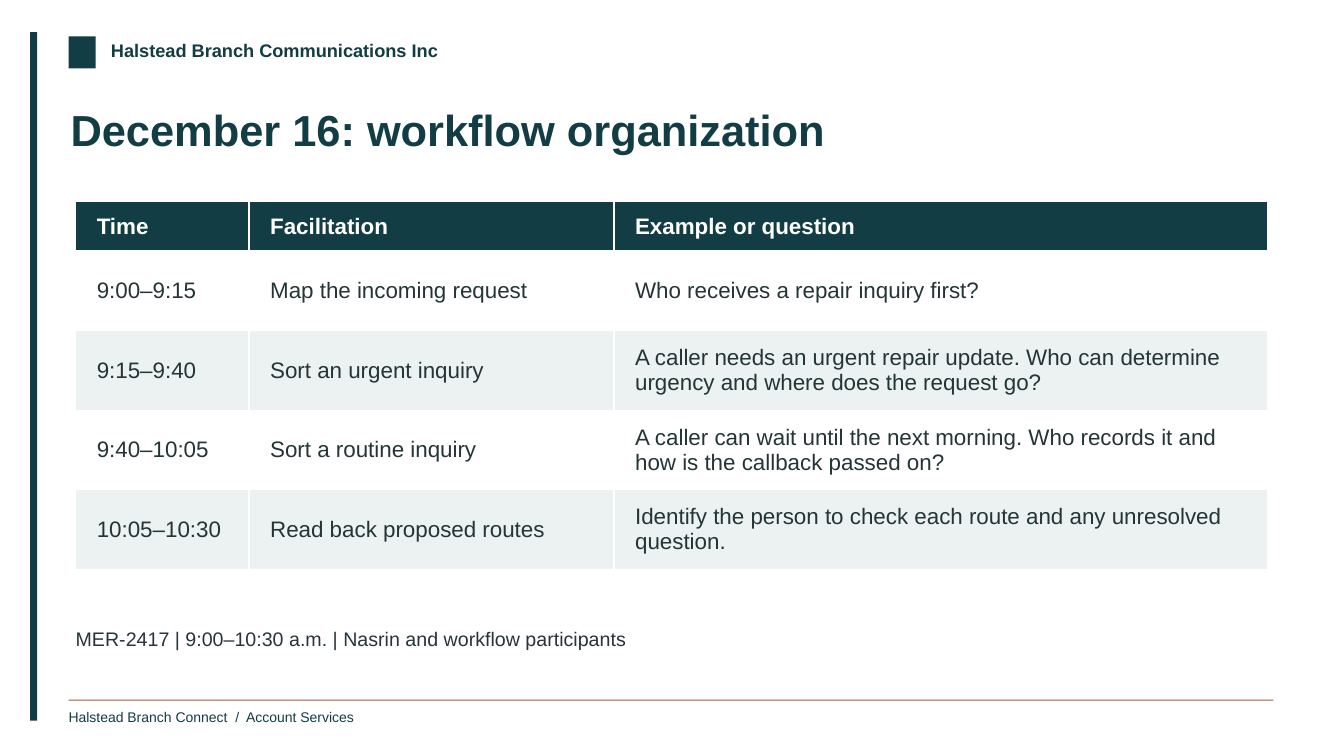
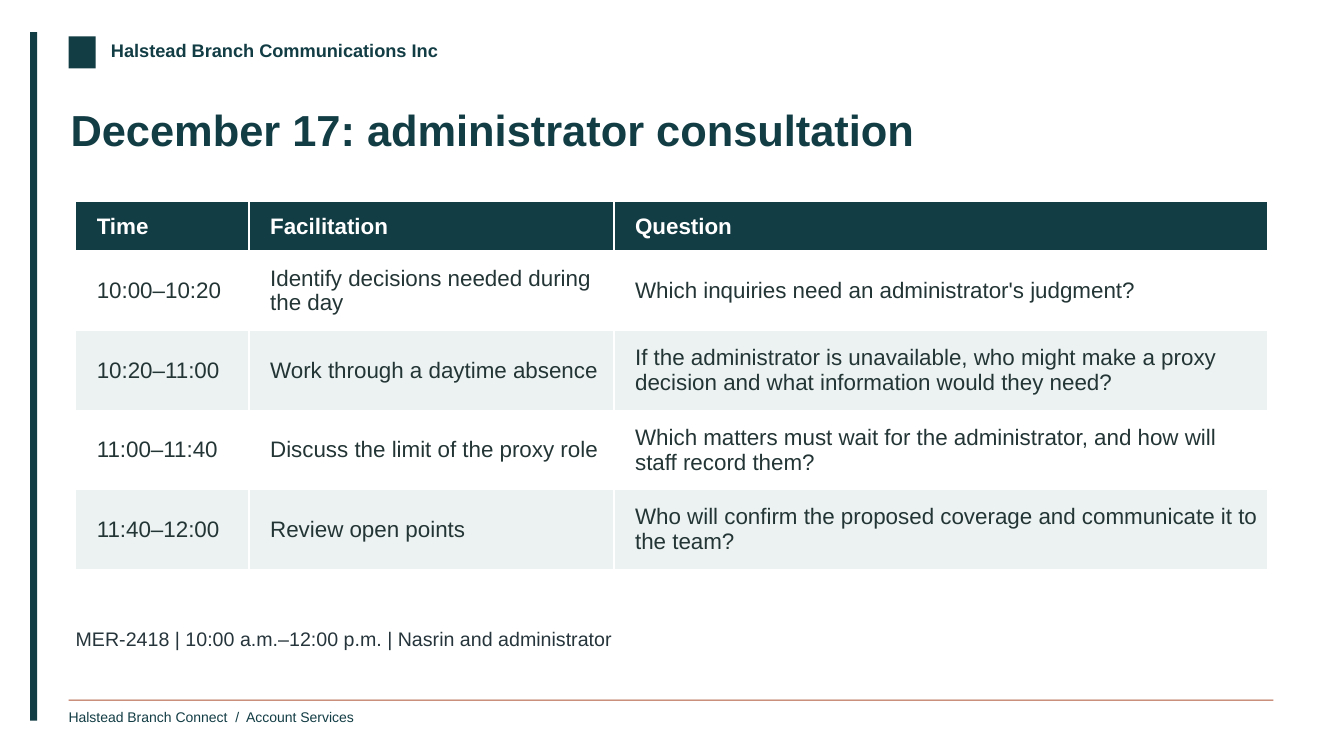
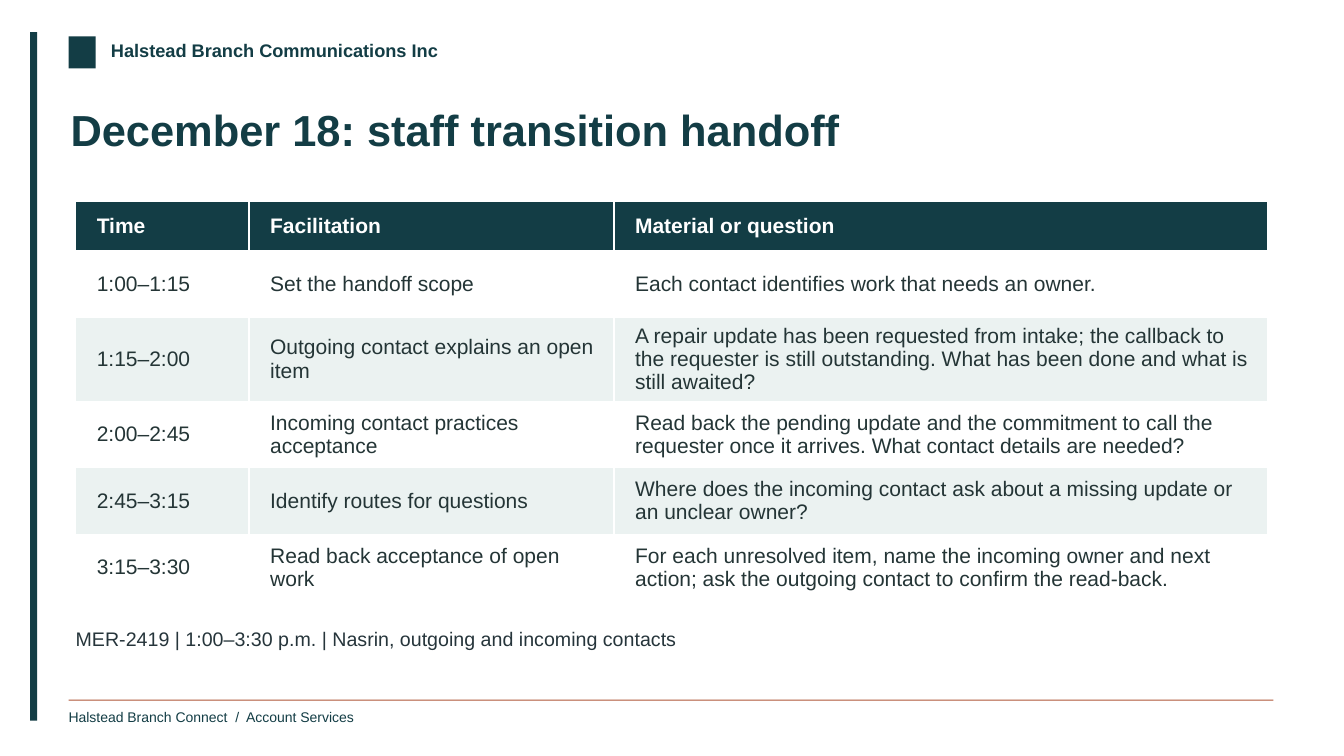
from pptx import Presentation
from pptx.dml.color import RGBColor as RGB
from pptx.enum.shapes import MSO_SHAPE as SHAPE
from pptx.enum.text import MSO_ANCHOR as ANCHOR
from pptx.util import Inches, Pt

FONT = "Arial"
INK = {
    "teal": "133D45",
    "rust": "AF5636",
    "text": "243536",
    "note": "26353B",
    "band": "EBF2F1",
    "white": "FFFFFF",
}
COLS = [1.72, 3.62, 6.48]
HEAD = 0.49

DAYS = [
    {
        "title": "December 16: workflow organization",
        "note": "MER-2417 | 9:00–10:30 a.m. | Nasrin and workflow participants",
        "size": 16,
        "high": 0.79,
        "rows": [
            ("Time", "Facilitation", "Example or question"),
            ("9:00–9:15", "Map the incoming request",
             "Who receives a repair inquiry first?"),
            ("9:15–9:40", "Sort an urgent inquiry",
             "A caller needs an urgent repair update. Who can determine "
             "urgency and where does the request go?"),
            ("9:40–10:05", "Sort a routine inquiry",
             "A caller can wait until the next morning. Who records it and "
             "how is the callback passed on?"),
            ("10:05–10:30", "Read back proposed routes",
             "Identify the person to check each route and any unresolved "
             "question."),
        ],
    },
    {
        "title": "December 17: administrator consultation",
        "note": "MER-2418 | 10:00 a.m.–12:00 p.m. | Nasrin and administrator",
        "size": 16,
        "high": 0.79,
        "rows": [
            ("Time", "Facilitation", "Question"),
            ("10:00–10:20", "Identify decisions needed during the day",
             "Which inquiries need an administrator's judgment?"),
            ("10:20–11:00", "Work through a daytime absence",
             "If the administrator is unavailable, who might make a proxy "
             "decision and what information would they need?"),
            ("11:00–11:40", "Discuss the limit of the proxy role",
             "Which matters must wait for the administrator, and how will "
             "staff record them?"),
            ("11:40–12:00", "Review open points",
             "Who will confirm the proposed coverage and communicate it to "
             "the team?"),
        ],
    },
    {
        "title": "December 18: staff transition handoff",
        "note": "MER-2419 | 1:00–3:30 p.m. | Nasrin, outgoing and incoming contacts",
        "size": 15,
        "high": 0.66,
        "rows": [
            ("Time", "Facilitation", "Material or question"),
            ("1:00–1:15", "Set the handoff scope",
             "Each contact identifies work that needs an owner."),
            ("1:15–2:00", "Outgoing contact explains an open item",
             "A repair update has been requested from intake; the callback to "
             "the requester is still outstanding. What has been done and what "
             "is still awaited?"),
            ("2:00–2:45", "Incoming contact practices acceptance",
             "Read back the pending update and the commitment to call the "
             "requester once it arrives. What contact details are needed?"),
            ("2:45–3:15", "Identify routes for questions",
             "Where does the incoming contact ask about a missing update or "
             "an unclear owner?"),
            ("3:15–3:30", "Read back acceptance of open work",
             "For each unresolved item, name the incoming owner and next "
             "action; ask the outgoing contact to confirm the read-back."),
        ],
    },
]


def tint(name):
    return RGB.from_string(INK[name])


def write(para, text, size, color, bold=False):
    run = para.add_run()
    run.text = text
    font = run.font
    font.name, font.size, font.bold = FONT, Pt(size), bold
    font.color.rgb = tint(color)


def label(slide, box, text, size, color, bold=False):
    frame = slide.shapes.add_textbox(*map(Inches, box)).text_frame
    frame.margin_left = frame.margin_right = 0
    frame.margin_top = frame.margin_bottom = 0
    frame.word_wrap = True
    write(frame.paragraphs[0], text, size, color, bold)


def block(slide, box, color):
    shape = slide.shapes.add_shape(SHAPE.RECTANGLE, *map(Inches, box))
    shape.shadow.inherit = False
    shape.fill.solid()
    shape.fill.fore_color.rgb = tint(color)
    shape.line.fill.background()


def fill_cell(cell, text, size, row):
    head = row == 0
    cell.margin_left, cell.margin_right = Inches(0.21), Inches(0.08)
    cell.margin_top = cell.margin_bottom = Inches(0.04)
    cell.vertical_anchor = ANCHOR.MIDDLE
    cell.fill.solid()
    back = "teal" if head else "white" if row % 2 else "band"
    cell.fill.fore_color.rgb = tint(back)
    write(cell.text_frame.paragraphs[0], text, size,
          "white" if head else "text", head)


def agenda(slide, rows, size, high):
    """Add the timetable; its white cell borders come from the table style."""
    sizes = [HEAD] + [high] * (len(rows) - 1)
    box = (0.75, 2, sum(COLS), sum(sizes))
    table = slide.shapes.add_table(
        len(rows), len(COLS), *map(Inches, box)).table
    table.horz_banding = False
    for col, width in zip(table.columns, COLS):
        col.width = Inches(width)
    for r, texts in enumerate(rows):
        table.rows[r].height = Inches(sizes[r])
        for c, text in enumerate(texts):
            fill_cell(table.cell(r, c), text, size, r)


def frame_page(slide):
    """Add the side band, header and footer that every slide has."""
    block(slide, (0.3, 0.32, 0.07, 6.83), "teal")
    block(slide, (0.68, 0.36, 0.27, 0.32), "teal")
    label(slide, (1.1, 0.39, 3.55, 0.27),
          "Halstead Branch Communications Inc", 13, "teal", True)
    block(slide, (0.68, 6.94, 11.95, 0.01), "rust")
    label(slide, (0.68, 7.03, 3.2, 0.23),
          "Halstead Branch Connect  /  Account Services", 10, "teal")


def main():
    deck = Presentation()
    deck.slide_width, deck.slide_height = Inches(13.33), Inches(7.5)
    for day in DAYS:
        slide = deck.slides.add_slide(deck.slide_layouts[6])
        frame_page(slide)
        label(slide, (0.7, 1.02, 11.9, 0.86), day["title"], 31, "teal", True)
        agenda(slide, day["rows"], day["size"], day["high"])
        label(slide, (0.75, 6.22, 11.82, 0.44), day["note"], 14, "note")
    deck.save("out.pptx")


if __name__ == "__main__":
    main()
